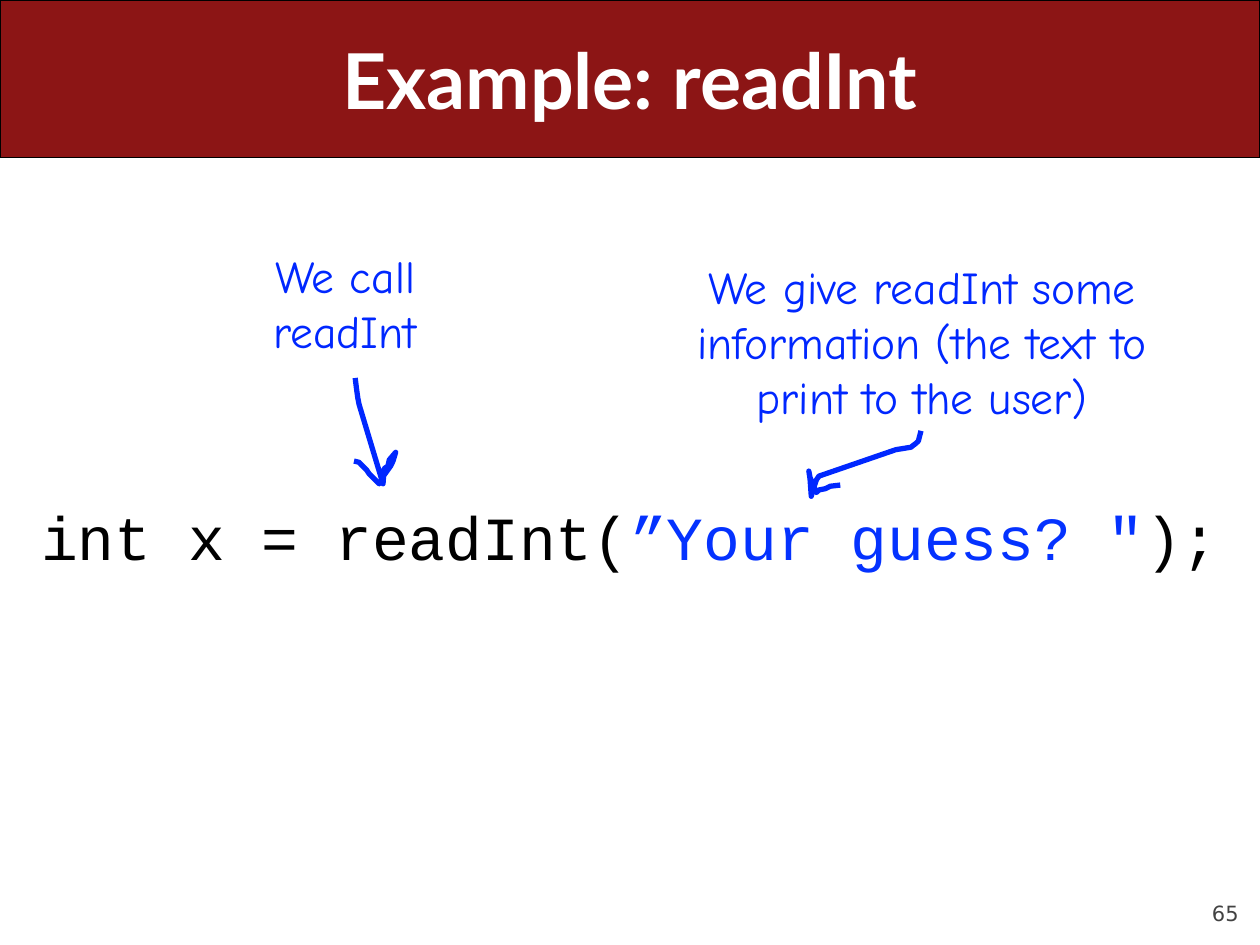
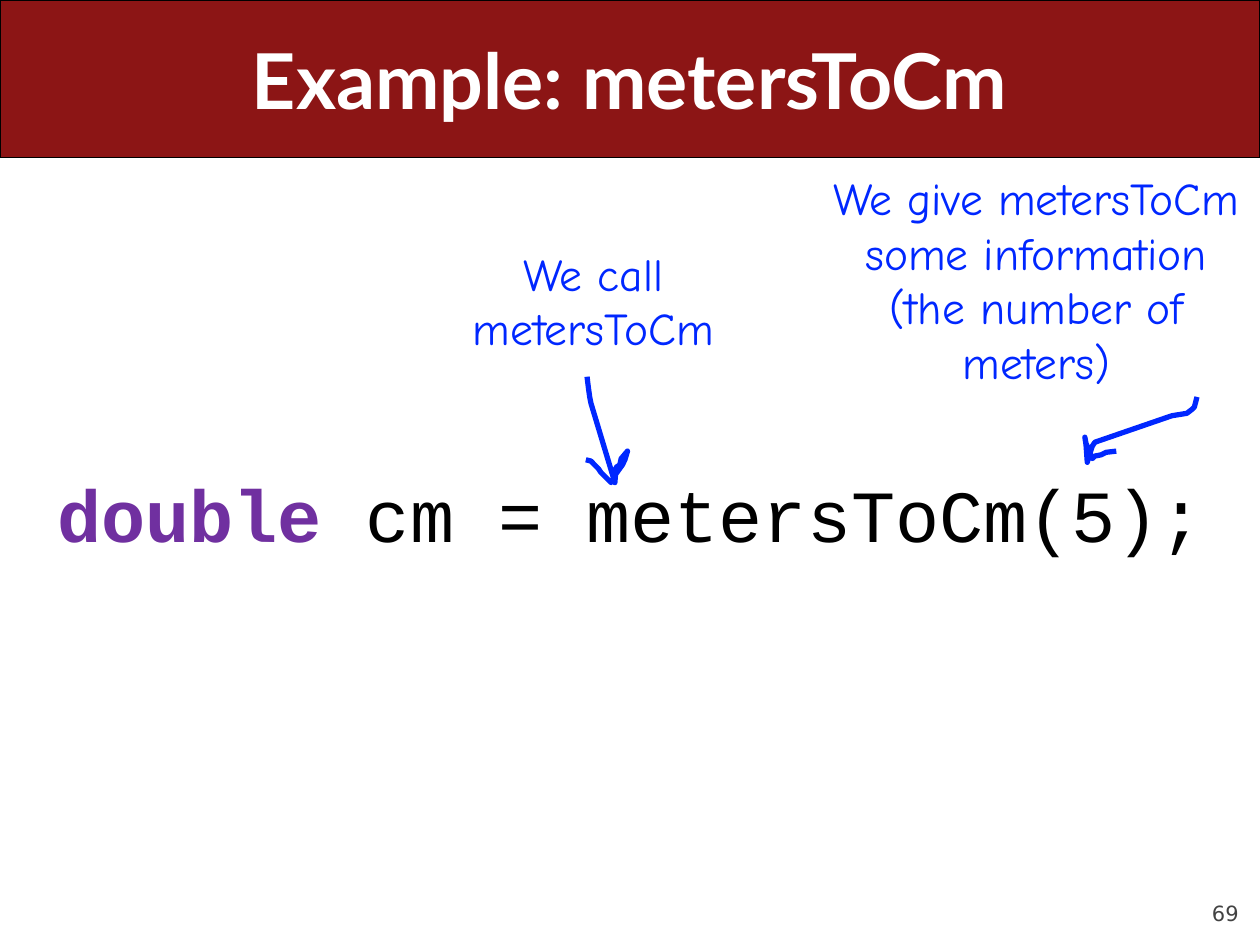
from dataclasses import dataclass

from pptx import Presentation
from pptx.dml.color import RGBColor
from pptx.enum.shapes import MSO_SHAPE
from pptx.enum.text import MSO_ANCHOR, PP_ALIGN
from pptx.slide import Slide
from pptx.util import Pt

CARDINAL = RGBColor(0x8C, 0x15, 0x15)
WHITE = RGBColor(0xFF, 0xFF, 0xFF)
BLACK = RGBColor(0x00, 0x00, 0x00)
GRAY = RGBColor(0x42, 0x42, 0x42)
INK_BLUE = RGBColor(0x00, 0x27, 0xFF)
STRING_BLUE = RGBColor(0x04, 0x32, 0xFF)
KEYWORD_PURPLE = RGBColor(0x70, 0x30, 0xA0)

SLIDE_WIDTH = 720
SLIDE_HEIGHT = 540
BAND_HEIGHT = 90

DOWN_ARROW = (
    (0.7, 0), (1.4, 5.8), (2.2, 11.5), (2.9, 15.1), (16.6, 60.5),
    (17.3, 51.8), (19.4, 50.4), (20.2, 46.8), (23.8, 42.5), (22.3, 47.5),
    (20.9, 50.4), (17.3, 55.4), (15.8, 58.3), (14.4, 60.5), (8.6, 54.7),
    (7.2, 52.6), (5, 50.4), (2.9, 48.2), (0, 47.5),
)
SIDE_ARROW = (
    (64.1, 0), (62.6, 5.8), (61.2, 7.2), (58.3, 9.4), (49.7, 10.8),
    (5.8, 25.9), (4.3, 28.1), (2.2, 34.6), (1.4, 37.4), (0.7, 27.4),
    (0, 23), (0.7, 26.6), (4.3, 35.3), (5.8, 33.8), (9.4, 33.1),
    (12.2, 31.7), (18, 31),
)


@dataclass(frozen=True)
class Area:
    left: float
    top: float
    width: float
    height: float


@dataclass(frozen=True)
class Style:
    font: str
    size: float
    align: PP_ALIGN = PP_ALIGN.CENTER
    anchor: MSO_ANCHOR = MSO_ANCHOR.TOP
    margins: bool = True
    wrap: bool = True


@dataclass(frozen=True)
class Span:
    text: str
    color: RGBColor
    bold: bool = False


@dataclass(frozen=True)
class Callout:
    text: str
    area: Area
    stroke: tuple[tuple[float, float], ...]
    arrow_left: float
    arrow_top: float


@dataclass(frozen=True)
class Example:
    function: str
    number: int
    code: tuple[Span, ...]
    code_area: Area
    code_style: Style
    callouts: tuple[Callout, ...]


TITLE_STYLE = Style("Lato", 44, anchor=MSO_ANCHOR.MIDDLE)
NUMBER_STYLE = Style("DejaVu Sans", 12, PP_ALIGN.RIGHT, MSO_ANCHOR.BOTTOM, margins=False)
CALLOUT_STYLE = Style("Comic Neue", 26)

TITLE_AREA = Area(36, 0, 648, BAND_HEIGHT)
NUMBER_AREA = Area(648, 500.4, 59.8, 28.8)

EXAMPLES = (
    Example(
        "readInt",
        65,
        (
            Span("int x = readInt(", BLACK),
            Span("”Your guess? \"", STRING_BLUE),
            Span(");", BLACK),
        ),
        Area(12, 102, 696, 408),
        Style("Courier New", 35, anchor=MSO_ANCHOR.MIDDLE),
        (
            Callout(
                "We give readInt some information (the text to print to the user)",
                Area(362.2, 144.7, 329.8, 101.5), SIDE_ARROW, 462.2, 246.2,
            ),
            Callout(
                "We call readInt",
                Area(113.8, 138.2, 167, 70.6), DOWN_ARROW, 202.3, 216,
            ),
        ),
    ),
    Example(
        "metersToCm",
        69,
        (
            Span("double ", KEYWORD_PURPLE, True),
            Span("cm = metersToCm(5);", BLACK),
        ),
        Area(21.6, 264.2, 677.5, 58.3),
        Style("Courier New", 42, wrap=False),
        (
            Callout(
                "We give metersToCm some information (the number of meters)",
                Area(466.6, 93.6, 251.3, 133.2), SIDE_ARROW, 619.9, 226.8,
            ),
            Callout(
                "We call metersToCm",
                Area(246.2, 136.8, 185.8, 70.6), DOWN_ARROW, 334.8, 215.3,
            ),
        ),
    ),
)


def add_text(page: Slide, area: Area, style: Style, *spans: Span) -> None:
    box = page.shapes.add_textbox(
        Pt(area.left), Pt(area.top), Pt(area.width), Pt(area.height)
    )
    frame = box.text_frame
    frame.word_wrap = style.wrap
    frame.vertical_anchor = style.anchor
    if not style.margins:
        frame.margin_left = frame.margin_right = 0
        frame.margin_top = frame.margin_bottom = 0
    para = frame.paragraphs[0]
    para.alignment = style.align
    para.font.name = style.font
    para.font.size = Pt(style.size)
    for span in spans:
        run = para.add_run()
        run.text = span.text
        run.font.color.rgb = span.color
        run.font.bold = span.bold


def add_band(page: Slide) -> None:
    band = page.shapes.add_shape(
        MSO_SHAPE.RECTANGLE, 0, 0, Pt(SLIDE_WIDTH), Pt(BAND_HEIGHT)
    )
    band.shadow.inherit = False
    band.fill.solid()
    band.fill.fore_color.rgb = CARDINAL
    band.line.color.rgb = BLACK
    band.line.width = Pt(0.75)


def add_callout(page: Slide, callout: Callout) -> None:
    add_text(page, callout.area, CALLOUT_STYLE, Span(callout.text, INK_BLUE))
    start, *rest = [
        (Pt(callout.arrow_left + x), Pt(callout.arrow_top + y))
        for x, y in callout.stroke
    ]
    builder = page.shapes.build_freeform(*start)
    builder.add_line_segments(rest, close=False)
    arrow = builder.convert_to_shape()
    arrow.shadow.inherit = False
    arrow.fill.background()
    arrow.line.color.rgb = INK_BLUE
    arrow.line.width = Pt(3)


def add_example(page: Slide, example: Example) -> None:
    add_text(page, NUMBER_AREA, NUMBER_STYLE, Span(str(example.number), GRAY))
    add_band(page)
    title = Span(f"Example: {example.function}", WHITE, True)
    add_text(page, TITLE_AREA, TITLE_STYLE, title)
    add_text(page, example.code_area, example.code_style, *example.code)
    for callout in example.callouts:
        add_callout(page, callout)


def main() -> None:
    deck = Presentation()
    deck.slide_width = Pt(SLIDE_WIDTH)
    deck.slide_height = Pt(SLIDE_HEIGHT)
    blank = deck.slide_layouts[6]
    for example in EXAMPLES:
        add_example(deck.slides.add_slide(blank), example)
    deck.save("out.pptx")


if __name__ == "__main__":
    main()
